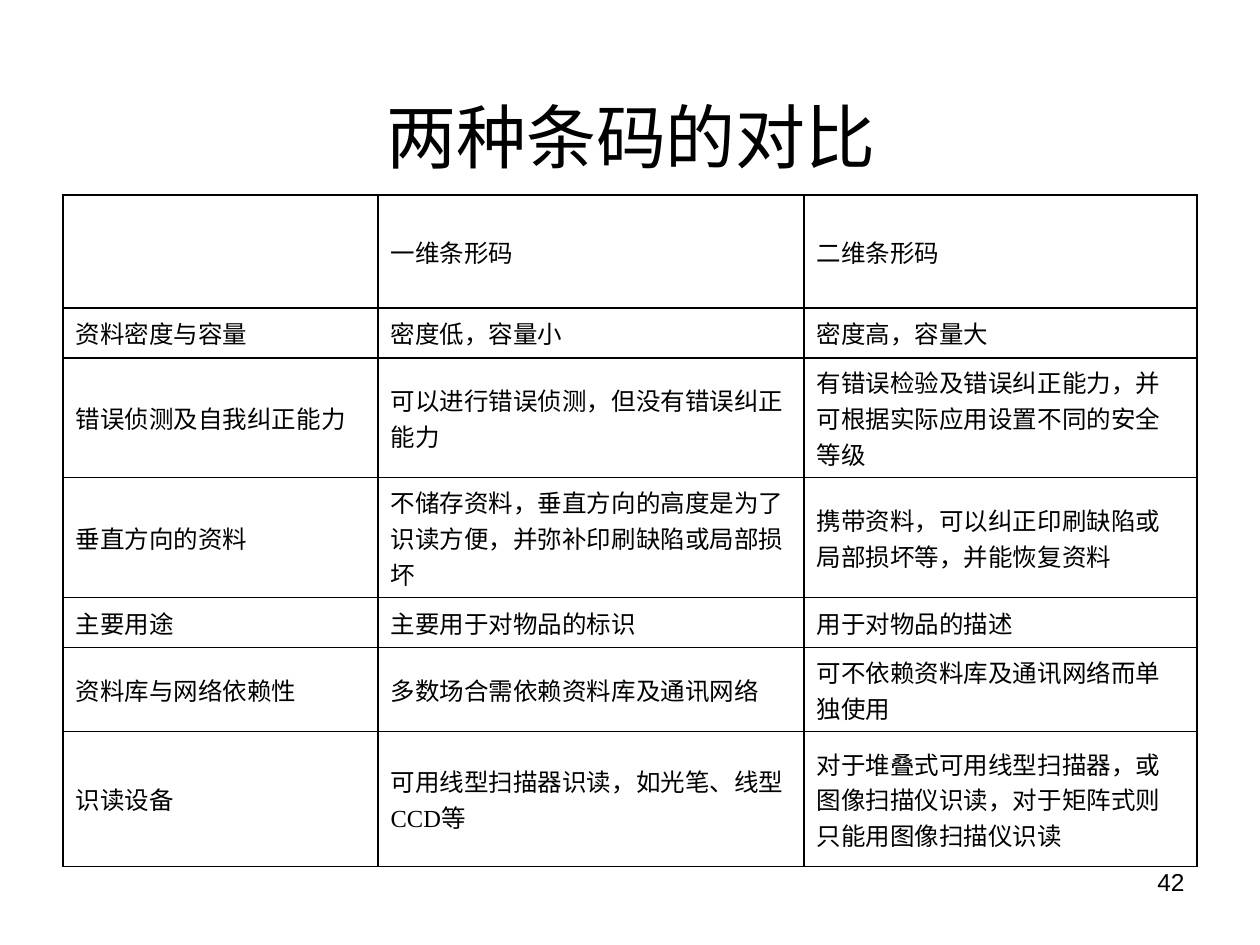
import pptx
import pptx.dml.color
import pptx.enum.text
import pptx.oxml
import pptx.oxml.ns
import pptx.util

EMU_PER_PX = 914400 / 126
COLORS = {"ink": "000000", "paper": "FFFFFF"}
FONTS = {"heading": "Arial", "body": "Times New Roman"}
ALIGN = pptx.enum.text.PP_ALIGN
ANCHOR = pptx.enum.text.MSO_ANCHOR


def px(length):
    return pptx.util.Emu(round(length * EMU_PER_PX))


def rgb(name):
    return pptx.dml.color.RGBColor.from_string(COLORS[name])


class SlideBuilder:
    """Holds the style and the current slide."""

    def __init__(self, slide):
        self.slide = slide
        slide.background.fill.solid()
        slide.background.fill.fore_color.rgb = rgb("paper")

    def add_text(self, frame, text, size, font, align=ALIGN.LEFT):
        frame.word_wrap = True
        paragraph = frame.paragraphs[0]
        paragraph.alignment = align
        run = paragraph.add_run()
        run.text = text
        style = {"size": pptx.util.Pt(size), "name": FONTS[font], "bold": False}
        for name, value in style.items():
            setattr(run.font, name, value)
        run.font.color.rgb = rgb("ink")

    def title(self, text, left, top, width, height):
        heading = self.slide.shapes.title
        box = {"left": left, "top": top, "width": width, "height": height}
        for name, value in box.items():
            setattr(heading, name, px(value))
        heading.text_frame.vertical_anchor = ANCHOR.MIDDLE
        self.add_text(heading.text_frame, text, 40, "heading", ALIGN.CENTER)

    def page_number(self, text, left, top, width, height):
        box = self.slide.shapes.add_textbox(px(left), px(top), px(width), px(height))
        self.add_text(box.text_frame, text, 14, "heading", ALIGN.RIGHT)

    def border(self, cell, side, points):
        line = pptx.oxml.parse_xml(
            f'<a:ln{side} {pptx.oxml.ns.nsdecls("a")} w="{pptx.util.Pt(points)}">'
            f'<a:solidFill><a:srgbClr val="{COLORS["ink"]}"/></a:solidFill>'
            f'</a:ln{side}>'
        )
        cell._tc.get_or_add_tcPr().append(line)

    def table(self, rows, left, top, widths, heights):
        table = self.slide.shapes.add_table(
            len(rows), len(widths), px(left), px(top), px(sum(widths)), px(sum(heights))
        ).table
        table.first_row = table.horz_banding = False
        for column, width in zip(table.columns, widths):
            column.width = px(width)
        for row, height in zip(table.rows, heights):
            row.height = px(height)

        last = len(widths) - 1
        for r, texts in enumerate(rows):
            for c, text in enumerate(texts):
                cell = table.cell(r, c)
                cell.vertical_anchor = ANCHOR.MIDDLE
                # The outer vertical edges are thinner than the inner rules
                edges = {"L": 0.75 if c == 0 else 1, "R": 0.75 if c == last else 1,
                         "T": 1, "B": 1}
                for side, points in edges.items():
                    self.border(cell, side, points)
                cell.fill.background()
                if text:
                    self.add_text(cell.text_frame, text, 14, "body" if r else "heading")


COMPARISON = [
    ("", "一维条形码", "二维条形码"),
    ("资料密度与容量", "密度低，容量小", "密度高，容量大"),
    ("错误侦测及自我纠正能力", "可以进行错误侦测，但没有错误纠正能力",
     "有错误检验及错误纠正能力，并可根据实际应用设置不同的安全等级"),
    ("垂直方向的资料", "不储存资料，垂直方向的高度是为了识读方便，并弥补印刷缺陷或局部损坏",
     "携带资料，可以纠正印刷缺陷或局部损坏等，并能恢复资料"),
    ("主要用途", "主要用于对物品的标识", "用于对物品的描述"),
    ("资料库与网络依赖性", "多数场合需依赖资料库及通讯网络",
     "可不依赖资料库及通讯网络而单独使用"),
    ("识读设备", "可用线型扫描器识读，如光笔、线型CCD等",
     "对于堆叠式可用线型扫描器，或图像扫描仪识读，对于矩阵式则只能用图像扫描仪识读"),
]


def main():
    deck = pptx.Presentation()
    deck.slide_width, deck.slide_height = px(1260), px(945)
    builder = SlideBuilder(deck.slides.add_slide(deck.slide_layouts[5]))

    # Heading
    builder.title("两种条码的对比", 64, 86, 1134, 100)

    # Comparison of the two barcode kinds
    builder.table(COMPARISON, 63, 195, widths=[315, 426, 393],
                  heights=[113, 50, 110, 110, 50, 79, 135])

    # Footer
    builder.page_number("42", 903, 861, 294, 66)

    deck.save("out.pptx")


if __name__ == "__main__":
    main()
